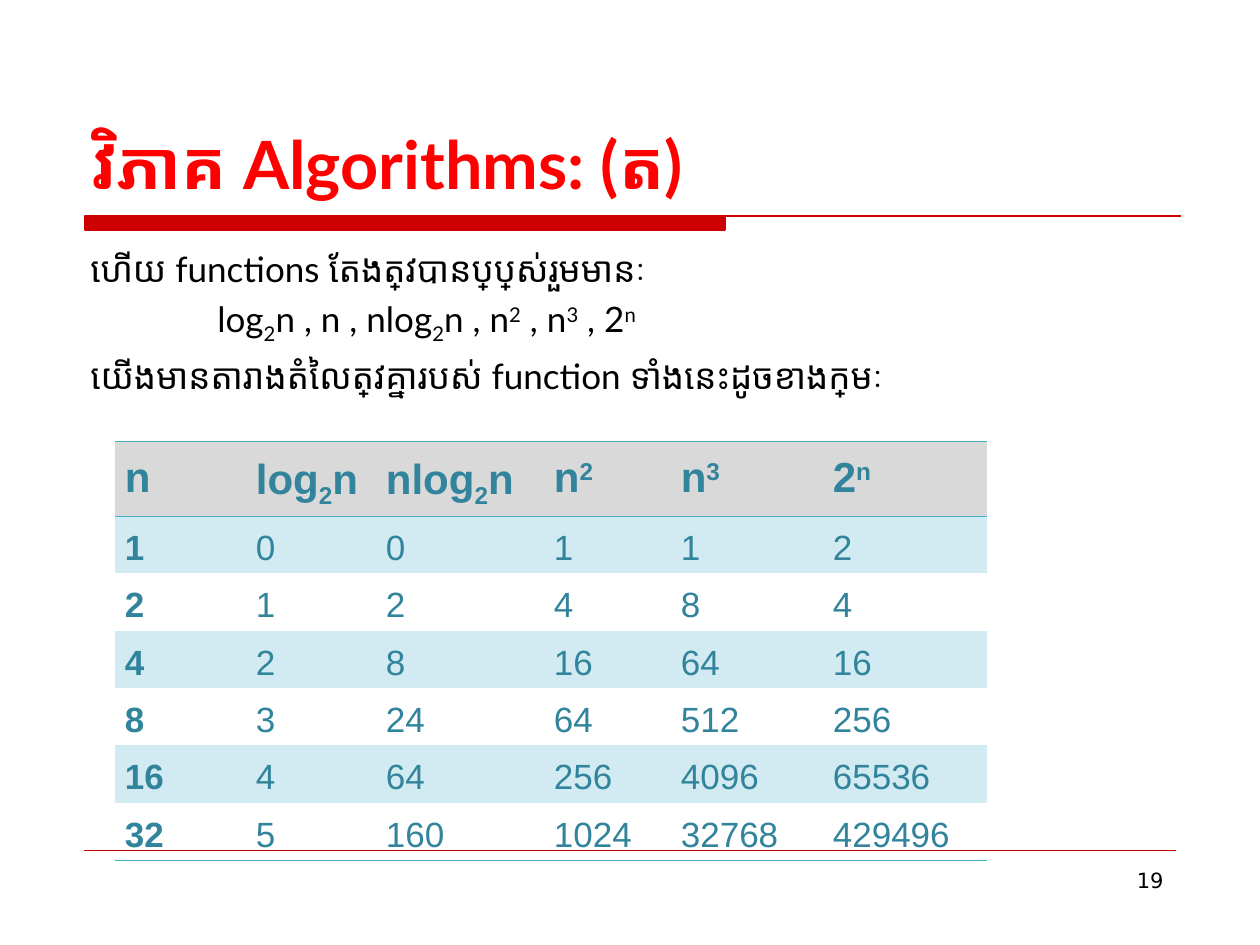
import lxml.etree
import pptx
import pptx.dml.color
import pptx.enum.shapes
import pptx.enum.text
import pptx.oxml.ns
import pptx.util

EMU_PER_PX = 914400 / 126
RED = pptx.dml.color.RGBColor(0xFF, 0x00, 0x00)
RULE_RED = pptx.dml.color.RGBColor(0xCC, 0x00, 0x00)
BLACK = pptx.dml.color.RGBColor(0x00, 0x00, 0x00)
TEAL = pptx.dml.color.RGBColor(0x31, 0x84, 0x9B)
BORDER_TEAL = pptx.dml.color.RGBColor(0x4B, 0xAC, 0xC6)
HEADER_GRAY = pptx.dml.color.RGBColor(0xD9, 0xD9, 0xD9)
BAND_BLUE = pptx.dml.color.RGBColor(0xD2, 0xEA, 0xF1)
PLAIN_TABLE_STYLE = "{2D5ABB26-0587-4C30-8999-92F81FD0307C}"
SCRIPT_BASELINES = {"_": -25000, "^": 30000}

BODY_LINES = [
    "ហើយ functions តែងត្រូវបានប្រើប្រាស់រួមមានៈ",
    "\t\tlog_2n , n , nlog_2n , n^2 , n^3 , 2^n",
    "យើងមានតារាងតំលៃត្រូវគ្នារបស់ function ទាំងនេះដូចខាងក្រោមៈ",
]
GROWTH_ROWS = [
    ["n", "log_2n", "nlog_2n", "n^2", "n^3", "2^n"],
    ["1", "0", "0", "1", "1", "2"],
    ["2", "1", "2", "4", "8", "4"],
    ["4", "2", "8", "16", "64", "16"],
    ["8", "3", "24", "64", "512", "256"],
    ["16", "4", "64", "256", "4096", "65536"],
    ["32", "5", "160", "1024", "32768", "429496"],
]
COLUMN_WIDTHS = [131, 130, 168, 127, 152, 164]
ROW_HEIGHTS = [67] + [53] * 6


def px(length):
    return pptx.util.Emu(round(length * EMU_PER_PX))


def add_element(parent, tag, **attributes):
    element = lxml.etree.SubElement(parent, pptx.oxml.ns.qn(tag))
    for name, value in attributes.items():
        element.set(name, str(value))
    return element


def split_scripts(text):
    pieces = [("", 0)]
    baseline = 0
    for character in text:
        if character in SCRIPT_BASELINES:
            baseline = SCRIPT_BASELINES[character]
            continue
        last_text, last_baseline = pieces[-1]
        if baseline == last_baseline:
            pieces[-1] = (last_text + character, baseline)
        else:
            pieces.append((character, baseline))
        baseline = 0
    return [piece for piece in pieces if piece[0]]


def write_text(paragraph, text, *, size, color, font="Lato", bold=False,
               align=None, before=None, spacing=None, hanging=0):
    paragraph.alignment = align
    paragraph.line_spacing = spacing
    if before is not None:
        paragraph.space_before = pptx.util.Pt(before)
    if hanging:
        properties = paragraph._p.get_or_add_pPr()
        properties.set("marL", str(px(hanging)))
        properties.set("indent", str(-px(hanging)))
        tabs = add_element(properties, "a:tabLst")
        for inch in range(8):
            position = px(hanging) + pptx.util.Inches(inch)
            add_element(tabs, "a:tab", pos=position, algn="l")
    for piece, baseline in split_scripts(text):
        run = paragraph.add_run()
        run.text = piece
        run.font.size = pptx.util.Pt(size)
        run.font.bold = bold
        run.font.name = font
        run.font.color.rgb = color
        run_properties = run._r.get_or_add_rPr()
        add_element(run_properties, "a:cs", typeface=font)
        if baseline:
            run_properties.set("baseline", str(baseline))


class SlideBuilder:
    def __init__(self, presentation):
        blank_layout = presentation.slide_layouts[6]
        self.slide = presentation.slides.add_slide(blank_layout)
        self.rule_color = RULE_RED

    def title_rule(self, left, top, bar_right, bottom, right):
        builder = self.slide.shapes.build_freeform(left, top, scale=EMU_PER_PX)
        builder.add_line_segments(
            [(bar_right, top), (bar_right, bottom), (left, bottom)], close=True)
        builder.move_to(left, top)
        builder.add_line_segments([(right, top)], close=False)
        shape = builder.convert_to_shape()
        shape.shadow.inherit = False
        shape.fill.solid()
        shape.fill.fore_color.rgb = self.rule_color
        shape.line.color.rgb = self.rule_color
        shape.line.width = pptx.util.Pt(0.75)

    def footer_rule(self, left, right, top):
        connector = self.slide.shapes.add_connector(
            pptx.enum.shapes.MSO_CONNECTOR.STRAIGHT,
            px(left), px(top), px(right), px(top))
        connector.line.color.rgb = self.rule_color
        connector.line.width = pptx.util.Pt(0.25)
        add_element(connector._element.spPr, "a:effectLst")

    def text_box(self, left, top, width, height, lines,
                 anchor=pptx.enum.text.MSO_ANCHOR.TOP, **text_format):
        shape = self.slide.shapes.add_textbox(
            px(left), px(top), px(width), px(height))
        frame = shape.text_frame
        frame.word_wrap = True
        frame.vertical_anchor = anchor
        for index, line in enumerate(lines):
            paragraph = frame.add_paragraph() if index else frame.paragraphs[0]
            write_text(paragraph, line, **text_format)

    def cell_border(self, cell, sides):
        properties = cell._tc.get_or_add_tcPr()
        for index, side in enumerate(sides):
            line = add_element(properties, side, w=pptx.util.Pt(0.45))
            fill = add_element(line, "a:solidFill")
            add_element(fill, "a:srgbClr", val=BORDER_TEAL)
            properties.insert(index, line)

    def table(self, left, top, rows, widths, heights):
        table = self.slide.shapes.add_table(
            len(rows), len(widths), px(left), px(top),
            px(sum(widths)), px(sum(heights))).table
        table.horz_banding = False
        style = table._tbl.tblPr.find(pptx.oxml.ns.qn("a:tableStyleId"))
        style.text = PLAIN_TABLE_STYLE
        for column, width in zip(table.columns, widths):
            column.width = px(width)
        borders = {0: ["a:lnT", "a:lnB"], len(rows) - 1: ["a:lnB"]}
        for row_index, values in enumerate(rows):
            table.rows[row_index].height = px(heights[row_index])
            header = row_index == 0
            for column_index, value in enumerate(values):
                cell = table.cell(row_index, column_index)
                cell.margin_left = cell.margin_right = px(10)
                cell.margin_top = px(7)
                cell.margin_bottom = px(2)
                if header or row_index % 2:
                    cell.fill.solid()
                    cell.fill.fore_color.rgb = HEADER_GRAY if header else BAND_BLUE
                else:
                    cell.fill.background()
                self.cell_border(cell, borders.get(row_index, []))
                write_text(cell.text_frame.paragraphs[0], value, font="Arial",
                           size=24 if header else 20, color=TEAL,
                           bold=header or column_index == 0, spacing=1.15)


def main():
    presentation = pptx.Presentation()
    presentation.slide_width = px(1260)
    presentation.slide_height = px(945)
    builder = SlideBuilder(presentation)
    builder.title_rule(85, 216, 725, 230, 1181)
    builder.footer_rule(84, 1176, 850)
    builder.text_box(79, 41, 1103, 168, ["វិភាគ Algorithms: (ត)"],
                     anchor=pptx.enum.text.MSO_ANCHOR.BOTTOM,
                     size=38, color=RED, bold=True)
    builder.text_box(78, 241, 1103, 588, BODY_LINES,
                     size=20, color=BLACK, before=5, hanging=64)
    builder.text_box(903, 861, 273, 66, ["19"], size=12, color=BLACK,
                     font="DejaVu Sans", align=pptx.enum.text.PP_ALIGN.RIGHT)
    builder.table(115, 441, GROWTH_ROWS, COLUMN_WIDTHS, ROW_HEIGHTS)
    presentation.save("out.pptx")


if __name__ == "__main__":
    main()
